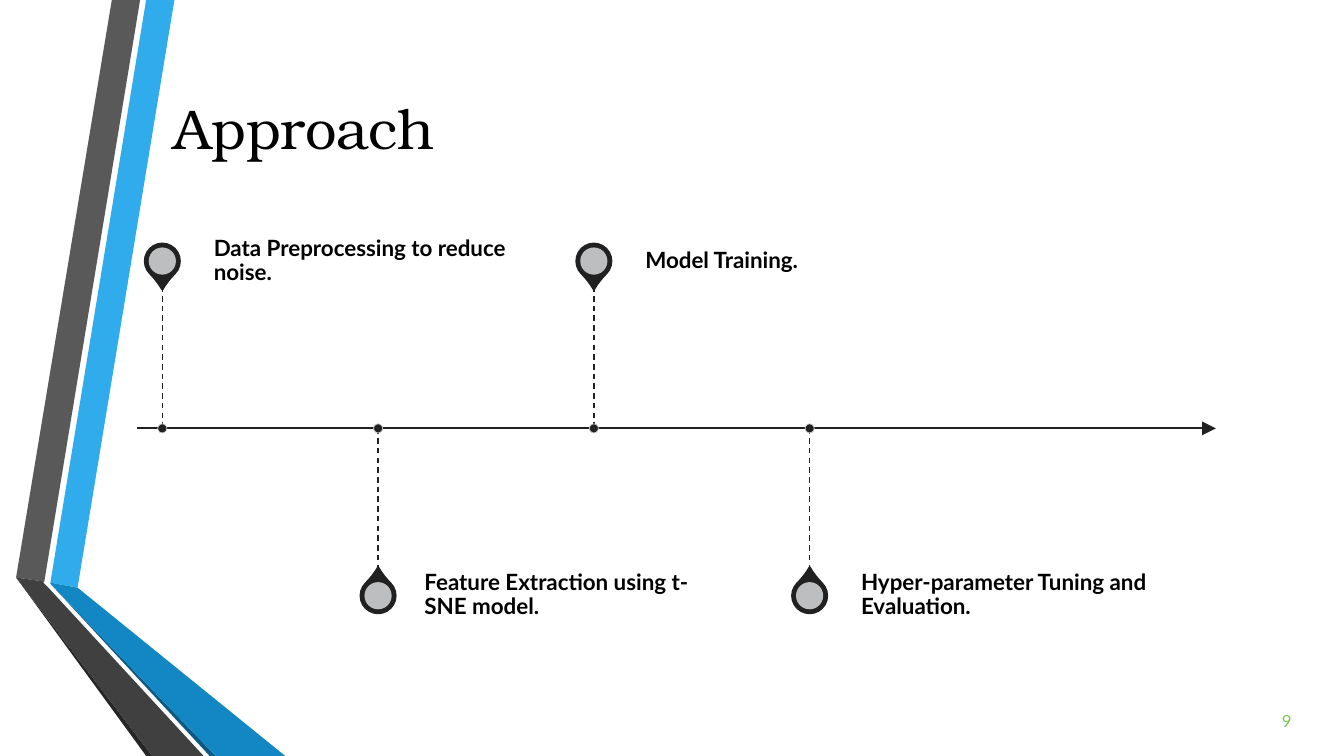
from lxml import etree
from pptx import Presentation
from pptx import util as u
from pptx.dml.color import RGBColor
from pptx.enum import dml, shapes, text
from pptx.oxml.ns import qn

INK = RGBColor(0x21, 0x21, 0x21)
PALE = RGBColor(0xCD, 0xD0, 0xD1)
BLACK = RGBColor(0, 0, 0)
GREEN = RGBColor(0x80, 0xC3, 0x4F)
SKY = RGBColor(0x30, 0xAC, 0xEC)
BLUE = RGBColor(0x12, 0x87, 0xC3)
NAVY = RGBColor(0x0C, 0x5A, 0x82)
GRAY = RGBColor(0x59, 0x59, 0x59)
CHARCOAL = RGBColor(0x40, 0x40, 0x40)
SOOT = RGBColor(0x26, 0x26, 0x26)

# Slide size and timeline grid, in inches
WIDE, HIGH = 13.33, 7.5
AXIS = 4.25                      # height of the timeline
FIRST, STEP = 1.61, 2.14         # first marker and column width
STEM, REACH = 1.41, 1.66         # axis to stem end, axis to pin centre
LABEL_WIDE, LABEL_HIGH = 3.05, 0.5

STEPS = [  # wording, gap from marker to label
    ("Data Preprocessing to reduce noise.", 0.51),
    ("Feature Extraction using t-SNE model.", 0.46),
    ("Model Training.", 0.51),
    ("Hyper-parameter Tuning and Evaluation.", 0.51),
]

RIBBONS = [  # colour, outline
    (SKY, [(0.5, 5.78), (0.77, 5.83), (1.73, 0), (1.45, 0)]),
    (GRAY, [(1.39, 0), (1.11, 0), (0.16, 5.73), (0.44, 5.77)]),
    (SOOT, [(0.16, 5.73), (1.45, HIGH), (1.51, HIGH)]),
    (NAVY, [(0.5, 5.79), (2.08, HIGH), (2.14, HIGH)]),
    (BLUE, [(0.5, 5.79), (2.14, HIGH), (2.83, HIGH), (0.77, 5.83), (0.5, 5.78)]),
    (CHARCOAL, [(2.02, HIGH), (0.48, 5.83), (0.43, 5.78), (0.44, 5.77),
                (0.16, 5.73), (1.51, HIGH)]),
]


def apply(target, values):
    for name, value in values.items():
        setattr(target, name, value)


def paint(shape, fill, line=None, width=0):
    shape.shadow.inherit = False
    shape.fill.solid()
    shape.fill.fore_color.rgb = fill
    if line is None:
        shape.line.fill.background()
    else:
        shape.line.color.rgb = line
        shape.line.width = u.Pt(width)


def add_ribbon(page, fill, points):
    corners = [(u.Inches(x), u.Inches(y)) for x, y in points]
    builder = page.shapes.build_freeform(*corners[0])
    builder.add_line_segments(corners[1:], close=True)
    paint(builder.convert_to_shape(), fill)


def add_line(page, start, end, width):
    line = page.shapes.add_connector(
        shapes.MSO_CONNECTOR.STRAIGHT, *map(u.Inches, start + end))
    line.line.color.rgb = INK
    line.line.width = u.Pt(width)
    etree.SubElement(line._element.spPr, qn("a:effectLst"))
    return line


def add_centred(page, kind, x, y, size, fill, line=None, width=0):
    shape = page.shapes.add_shape(
        kind, *map(u.Inches, (x - size / 2, y - size / 2, size, size)))
    paint(shape, fill, line, width)
    return shape


def write(box, words, align=text.PP_ALIGN.LEFT, spacing=None, insets=None, **font):
    frame = box.text_frame
    apply(frame, {"word_wrap": True, "auto_size": text.MSO_AUTO_SIZE.NONE,
                  "vertical_anchor": text.MSO_ANCHOR.MIDDLE, **(insets or {})})
    para = frame.paragraphs[0]
    apply(para, {"alignment": align, "line_spacing": spacing})
    span = para.add_run()
    span.text = words
    color = font.pop("color", BLACK)
    apply(span.font, {"name": "Lato", **font})
    span.font.color.rgb = color


def add_text(page, area, words, **style):
    box = page.shapes.add_textbox(*map(u.Inches, area))
    write(box, words, **style)


def add_axis(page):
    axis = add_line(page, (1.36, AXIS), (12.06, AXIS), 1.5)
    etree.SubElement(axis.line._get_or_add_ln(), qn("a:tailEnd"),
                     type="triangle", w="lg", len="lg")


def add_step(page, column, words, gap):
    above = column % 2 == 0
    side = -1 if above else 1
    x, y = FIRST + column * STEP, AXIS + side * REACH

    # Pin with its pale centre
    pin = add_centred(page, shapes.MSO_SHAPE.TEAR, x, y, 0.35, INK, INK, 1.25)
    pin.adjustments[0] = 1.15
    pin.rotation = 135 if above else 315
    centre = add_centred(page, shapes.MSO_SHAPE.OVAL, x, y, 0.27, PALE)
    tint = centre._element.spPr.find(qn("a:solidFill"))[0]
    etree.SubElement(tint, qn("a:alpha"), val="90000")

    # Label, stem and dot on the axis
    add_text(page, (x + gap, y - LABEL_HIGH / 2, LABEL_WIDE, LABEL_HIGH), words,
             spacing=0.9, size=u.Pt(16), bold=True,
             insets={"margin_left": 0, "margin_top": 0,
                     "margin_right": u.Inches(0.11), "margin_bottom": 0})
    ends = sorted((AXIS, AXIS + side * STEM))
    stem = add_line(page, (x, ends[0]), (x, ends[1]), 1)
    stem.line.dash_style = dml.MSO_LINE.DASH
    add_centred(page, shapes.MSO_SHAPE.OVAL, x, AXIS, 0.09, INK, PALE, 0.5)


def add_title(page, words):
    title = page.shapes.title
    apply(title, dict(zip(("left", "top", "width", "height"),
                          map(u.Inches, (1.62, 0.75, 10.96, 1.03)))))
    write(title, words, name="TeX Gyre Bonum", size=u.Pt(40))


def main():
    deck = Presentation()
    deck.slide_width, deck.slide_height = u.Inches(WIDE), u.Inches(HIGH)
    page = deck.slides.add_slide(deck.slide_layouts.get_by_name("Title Only"))

    # Folded ribbons on the left
    for fill, points in RIBBONS:
        add_ribbon(page, fill, points)

    # Timeline
    add_axis(page)
    for column, (words, gap) in enumerate(STEPS):
        add_step(page, column, words, gap)

    # Title and page number
    add_title(page, "Approach")
    add_text(page, (11.1, 6.95, 1.81, 0.4), "9", align=text.PP_ALIGN.RIGHT,
             size=u.Pt(12), color=GREEN)
    deck.save("out.pptx")


main()
